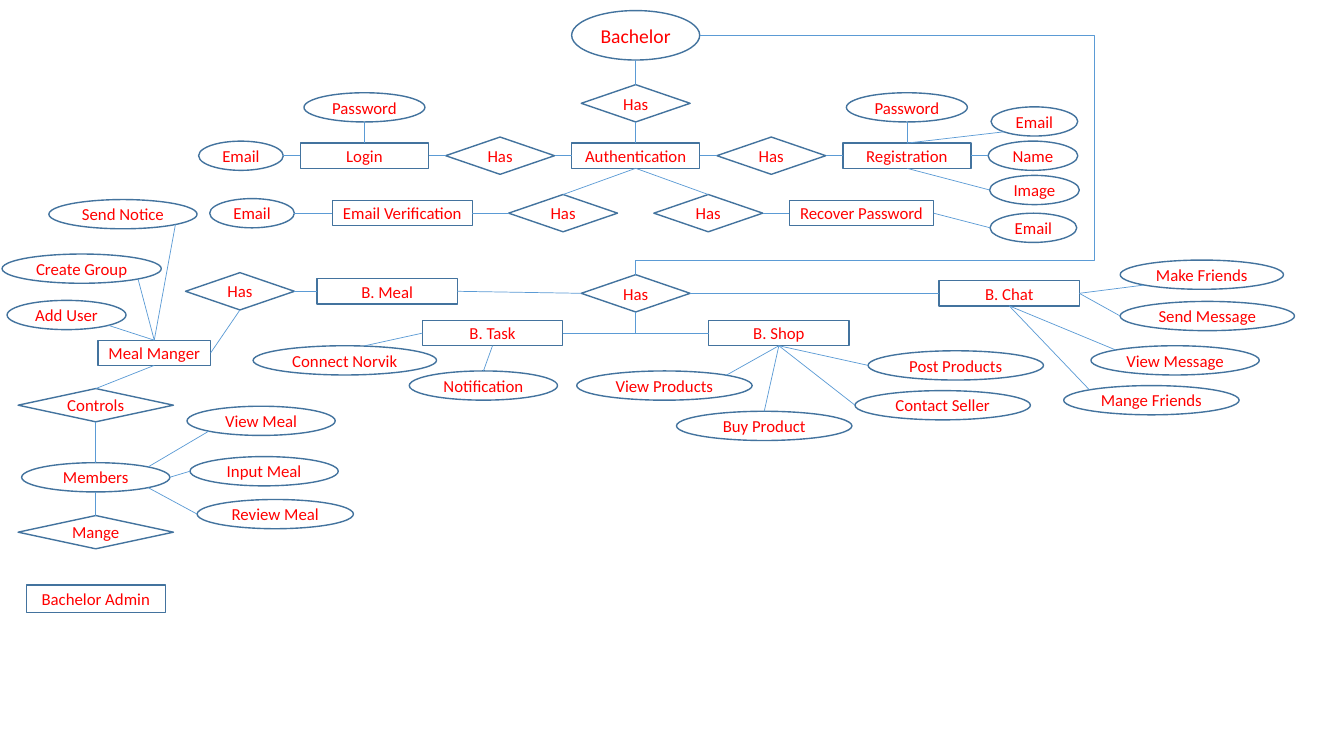
from dataclasses import dataclass
from math import sqrt

from lxml.etree import SubElement
from pptx import Presentation
from pptx.dml.color import RGBColor as RGB
from pptx.enum.shapes import MSO_CONNECTOR as CONN, MSO_SHAPE as SHAPE
from pptx.enum.text import MSO_ANCHOR as ANCHOR, PP_ALIGN as ALIGN
from pptx.oxml.ns import qn
from pptx.util import Inches, Pt


@dataclass(frozen=True)
class Theme:
    """Colours, type sizes and line widths of the diagram."""
    font: str = "Calibri"
    text: RGB = RGB(0xFF, 0x00, 0x00)
    fill: RGB = RGB(0xFF, 0xFF, 0xFF)
    outline: RGB = RGB(0x43, 0x73, 0x9E)
    link: RGB = RGB(0x5B, 0x9B, 0xD5)
    body: int = 12
    title: int = 14
    outline_width: float = 1
    link_width: float = 0.5


WIDTH, HEIGHT, ROWS = 13.33, 7.5, 75
CELL = HEIGHT / ROWS                      # square grid cells
AXIS, PITCH = 63.05, 13.45                # centre column, gap along the login row
AUTH_ROW, VERIFY_ROW = 15.45, 21.15
ADMIN = 9.5                               # centre column of the member chain

KINDS = {  # kind: preset shape, default width and height in cells
    "entity": (SHAPE.RECTANGLE, 13.9, 2.5),
    "relation": (SHAPE.DIAMOND, 10.8, 3.7),
    "attribute": (SHAPE.OVAL, 14.7, 2.9),
}
SIDES = {"t": (0, -1), "l": (-1, 0), "b": (0, 1), "r": (1, 0)}
D = sqrt(0.5)
OVAL_SIDES = {"t": (0, -1), "tl": (-D, -D), "l": (-1, 0), "bl": (-D, D),
              "b": (0, 1), "br": (D, D), "r": (1, 0), "tr": (D, -D)}


def grid(n):
    """Turn grid cells into a length."""
    return Inches(round(n * CELL, 3))


def apply(obj, values):
    """Set each attribute named in values."""
    for name, value in values.items():
        setattr(obj, name, value)


class ErDiagram:
    """Holds the theme, the slide and the nodes drawn so far."""

    def __init__(self, s, theme):
        """Start an empty diagram on slide s."""
        self.s, self.theme, self.nodes = s, theme, {}

    def node(self, kind, key, text, x, y, w=None, h=None, size=None):
        """Draw a labelled node centred on column x and row y."""
        t = self.theme
        preset, kind_w, kind_h = KINDS[kind]
        w, h = w or kind_w, h or kind_h
        sp = self.s.shapes.add_shape(
            preset, grid(x - w / 2), grid(y - h / 2), grid(w), grid(h))
        sp.shadow.inherit = False
        sp.fill.solid()
        sp.fill.fore_color.rgb = t.fill
        sp.line.color.rgb, sp.line.width = t.outline, Pt(t.outline_width)
        tf = sp.text_frame
        apply(tf, dict(word_wrap=False, vertical_anchor=ANCHOR.MIDDLE, margin_left=0,
                       margin_right=0, margin_top=0, margin_bottom=0))
        p = tf.paragraphs[0]
        p.alignment = ALIGN.CENTER
        r = p.add_run()
        r.text = text
        apply(r.font, dict(name=t.font, size=Pt(size or t.body)))
        r.font.color.rgb = t.text
        sides = OVAL_SIDES if kind == "attribute" else SIDES
        self.nodes[key] = sp, sides, (x, y, w, h)

    def point(self, end):
        """Give the grid position of a 'node.side' end or a plain point."""
        if isinstance(end, tuple):
            return end
        key, side = end.split(".")
        _, sides, (x, y, w, h) = self.nodes[key]
        dx, dy = sides[side]
        return x + dx * w / 2, y + dy * h / 2

    def link(self, start, end, kind=CONN.STRAIGHT):
        """Draw a connector and glue it to the nodes at its ends."""
        t = self.theme
        a, b = self.point(start), self.point(end)
        c = self.s.shapes.add_connector(kind, *map(grid, a + b))
        c.line.color.rgb, c.line.width = t.link, Pt(t.link_width)
        SubElement(c._element.spPr, qn("a:effectLst"))
        for tag, target in (("a:stCxn", start), ("a:endCxn", end)):
            if isinstance(target, str):
                key, side = target.split(".")
                sp, sides, _ = self.nodes[key]
                SubElement(c._element.nvCxnSpPr.cNvCxnSpPr, qn(tag),
                           id=str(sp.shape_id), idx=str(list(sides).index(side)))
        return c

    def elbow(self, start, end, turn=None):
        """Draw a one-corner connector, or one that turns at column and row turn."""
        geom = self.link(start, end, CONN.ELBOW)._element.spPr.prstGeom
        geom.set("prst", "bentConnector4" if turn else "bentConnector2")
        if turn:
            ends = zip(turn, self.point(start), self.point(end))
            guides = geom.get_or_add_avLst()
            for i, (at, a, b) in enumerate(ends, 1):
                SubElement(guides, qn("a:gd"), name=f"adj{i}",
                           fmla=f"val {round((at - a) / (b - a) * 100000)}")


THEME = Theme()
NODES = {  # kind: key, text, centre column, centre row, then width, height, type size
    "entity": [
        ("auth", "Authentication", AXIS, AUTH_ROW, 12.7),
        ("login", "Login", AXIS - 2 * PITCH, AUTH_ROW, 12.7),
        ("reg", "Registration", AXIS + 2 * PITCH, AUTH_ROW, 12.7),
        ("recover", "Recover Password", 85.45, VERIFY_ROW, 14.3),
        ("verify", "Email Verification", 39.9, VERIFY_ROW),
        ("meal", "B. Meal", 38.4, 28.9),
        ("chat", "B. Chat", 100.1, 29.1),
        ("task", "B. Task", AXIS - 14.2, 33.05),
        ("shop", "B. Shop", AXIS + 14.2, 33.05),
        ("manager", "Meal Manger", 15.3, 35, 11.2),
        ("admin", "Bachelor Admin", ADMIN, 59.4, 13.8, 2.7),
    ],
    "relation": [
        ("has_auth", "Has", AXIS, 10.25),
        ("has_login", "Has", AXIS - PITCH, AUTH_ROW),
        ("has_reg", "Has", AXIS + PITCH, AUTH_ROW),
        ("has_verify", "Has", AXIS - 7.2, VERIFY_ROW),
        ("has_recover", "Has", AXIS + 7.2, VERIFY_ROW),
        ("has_parts", "Has", AXIS, 29.1),
        ("has_meal", "Has", 23.8, 28.9),
        ("controls", "Controls", ADMIN, 40.2, 15.4, 3.3),
        ("manage", "Mange", ADMIN, 52.8, 15.4, 3.3),
    ],
    "attribute": [
        ("bachelor", "Bachelor", AXIS, 3.5, 12.7, 4.9, THEME.title),
        ("login_email", "Email", 23.9, AUTH_ROW, 8.4),
        ("login_pass", "Password", AXIS - 2 * PITCH, 10.65, 12),
        ("reg_pass", "Password", AXIS + 2 * PITCH, 10.65, 12),
        ("reg_email", "Email", 102.6, 12.05, 8.6),
        ("reg_name", "Name", 102.45, AUTH_ROW, 8.9),
        ("reg_image", "Image", 102.6, 18.85, 8.9),
        ("recover_email", "Email", 102.5, 22.6, 8.6),
        ("verify_email", "Email", 25, VERIFY_ROW, 8.4),
        ("notice", "Send Notice", 12.2, 21.25),
        ("group", "Create Group", 8.1, 26.65, 15.8),
        ("user", "Add User", 6.6, 31.25, 11.8),
        ("members", "Members", ADMIN, 47.35),
        ("view_meal", "View Meal", 25.9, 41.75),
        ("input_meal", "Input Meal", 26.2, 46.75),
        ("review_meal", "Review Meal", 27.3, 51, 15.5),
        ("connect", "Connect Norvik", 34.2, 35.75, 18.2),
        ("notification", "Notification", 47.95, 38.25),
        ("make_friends", "Make Friends", 119.2, 27.25, 16.2),
        ("send_message", "Send Message", 119.75, 31.35, 17.3),
        ("view_message", "View Message", 116.55, 35.75, 16.7),
        ("manage_friends", "Mange Friends", 114.2, 39.7, 17.4),
        ("view_products", "View Products", 65.9, 38.25, 17.4),
        ("post_products", "Post Products", 94.8, 36.25, 17.4),
        ("seller", "Contact Seller", 93.5, 40.2, 17.4),
        ("buy", "Buy Product", 75.8, 42.25, 17.4),
    ],
}
LINKS = {  # start: ends
    "bachelor.b": ["has_auth.t"],
    "auth.t": ["has_auth.b"],
    "auth.l": ["has_login.r"],
    "auth.r": ["has_reg.l"],
    "auth.b": ["has_verify.t", "has_recover.t"],
    "login.r": ["has_login.l"],
    "login.l": ["login_email.r"],
    "login.t": ["login_pass.b"],
    "reg.l": ["has_reg.r"],
    "reg.r": ["reg_name.l"],
    "reg.t": ["reg_pass.b", "reg_email.bl"],
    "reg.b": ["reg_image.l"],
    "verify.r": ["has_verify.l"],
    "verify.l": ["verify_email.r"],
    "recover.l": ["has_recover.r"],
    "recover.r": ["recover_email.l"],
    "has_parts.l": ["meal.r"],
    "has_parts.r": ["chat.l"],
    "has_meal.r": ["meal.l"],
    "has_meal.b": ["manager.r"],
    "manager.t": ["user.br", "group.br", "notice.br"],
    "manager.b": ["controls.t"],
    "members.t": ["controls.b"],
    "members.b": ["manage.t"],
    "members.tr": ["view_meal.bl"],
    "members.r": ["input_meal.l"],
    "members.br": ["review_meal.l"],
    "task.l": [(36.2, 34.3)],
    "task.b": ["notification.t"],
    "chat.r": ["make_friends.bl", "send_message.l"],
    "chat.b": ["view_message.tl", "manage_friends.tl"],
    "shop.b": ["view_products.tr", "buy.t", "post_products.l", "seller.l"],
}

prs = Presentation()
prs.slide_width, prs.slide_height = Inches(WIDTH), Inches(HEIGHT)
diagram = ErDiagram(prs.slides.add_slide(prs.slide_layouts[6]), THEME)
for kind, rows in NODES.items():
    for row in rows:
        diagram.node(kind, *row)
for start, ends in LINKS.items():
    for end in ends:
        diagram.link(start, end)
diagram.elbow("bachelor.r", "has_parts.t", turn=(108.5, 25.8))
for part in ("task.r", "shop.l"):
    diagram.elbow(part, "has_parts.b")
prs.save("out.pptx")
